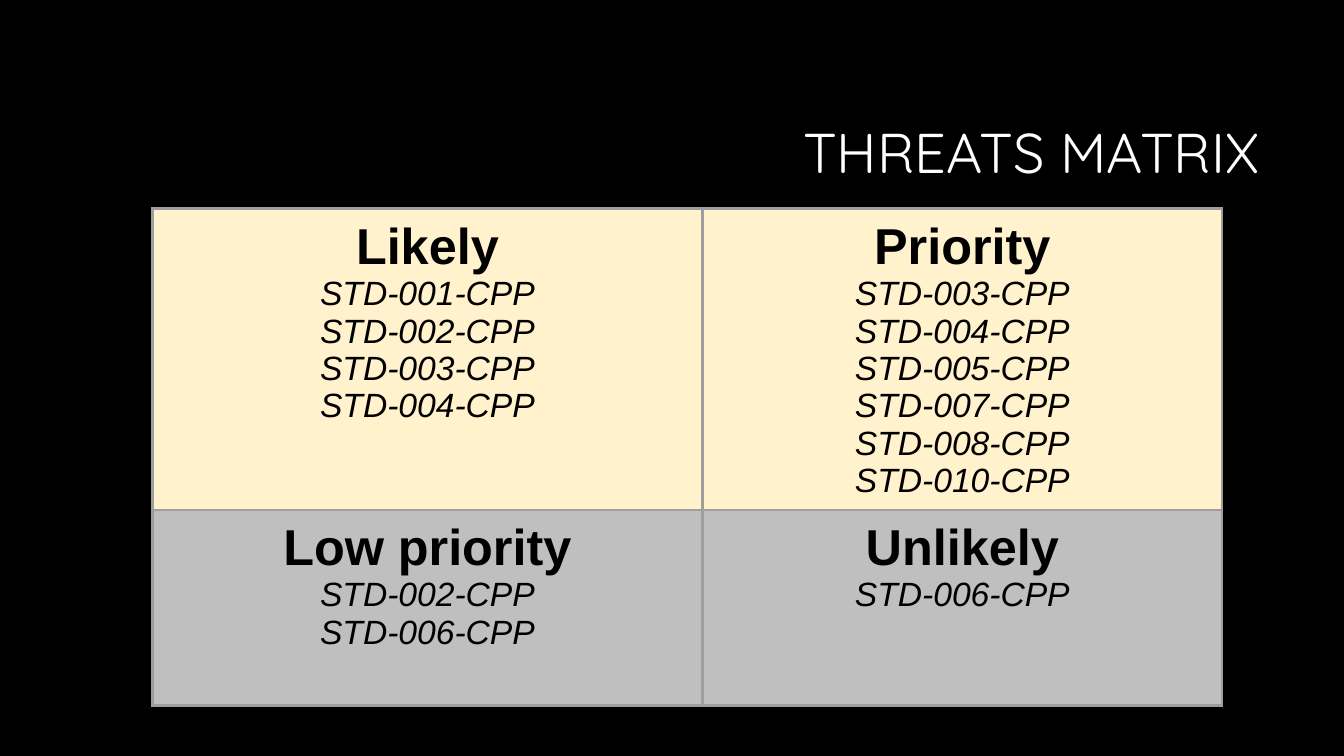
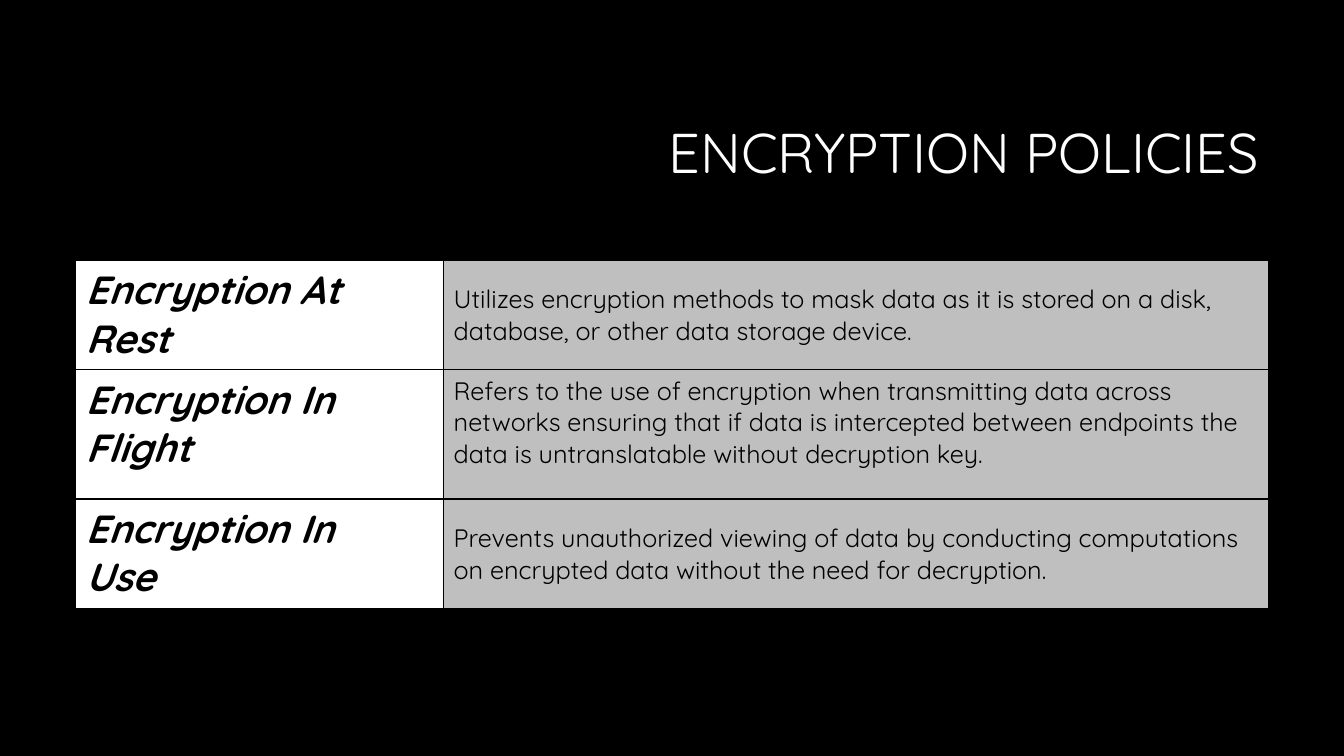
from lxml import etree
from pptx import Presentation
from pptx.dml.color import RGBColor
from pptx.enum.text import MSO_ANCHOR, PP_ALIGN
from pptx.oxml.ns import qn
from pptx.util import Inches, Pt

LEFT, CENTER, RIGHT = PP_ALIGN.LEFT, PP_ALIGN.CENTER, PP_ALIGN.RIGHT
TOP, MIDDLE = MSO_ANCHOR.TOP, MSO_ANCHOR.MIDDLE

BLACK, WHITE, GRAY = "000000", "FFFFFF", "BFBFBF"
CREAM, RULE_GRAY = "FFF2CC", "9E9E9E"
BODY_FONT, BRAND_FONT = "Arial", "Quicksand"
TITLE_ONLY = 5

THREATS = [
    (CREAM, [("Likely", [1, 2, 3, 4]), ("Priority", [3, 4, 5, 7, 8, 10])]),
    (GRAY, [("Low priority", [2, 6]), ("Unlikely", [6])]),
]

POLICIES = [
    (["Encryption At Rest"], MIDDLE,
     "Utilizes encryption methods to mask data as it is stored on a disk, "
     "database, or other data storage device."),
    (["Encryption In Flight"], TOP,
     "Refers to the use of encryption when transmitting data across networks "
     "ensuring that if data is intercepted between endpoints the data is "
     "untranslatable without decryption key."),
    (["Encryption In", "Use"], MIDDLE,
     "Prevents unauthorized viewing of data by conducting computations on "
     "encrypted data without the need for decryption."),
]


def paint(fill, color):
    fill.solid()
    fill.fore_color.rgb = RGBColor.from_string(color)


def write(frame, text, size, font=BRAND_FONT, color=BLACK, bold=False,
          italic=False, align=LEFT, line_spacing=None):
    paragraph = frame.paragraphs[0]
    if paragraph.runs:
        paragraph = frame.add_paragraph()
    paragraph.alignment = align
    paragraph.line_spacing = line_spacing
    run = paragraph.add_run()
    run.text = text
    run.font.name = font
    run.font.size = Pt(size)
    run.font.bold = bold
    run.font.italic = italic
    run.font.color.rgb = RGBColor.from_string(color)


def set_borders(cell, color, width):
    properties = cell._tc.get_or_add_tcPr()
    for index, side in enumerate(("lnL", "lnR", "lnT", "lnB")):
        line = etree.Element(qn(f"a:{side}"), w=str(Pt(width)))
        solid = etree.SubElement(line, qn("a:solidFill"))
        etree.SubElement(solid, qn("a:srgbClr"), val=color)
        properties.insert(index, line)


def style_cell(cell, fill, anchor=TOP, padding=None):
    paint(cell.fill, fill)
    cell.vertical_anchor = anchor
    if padding is not None:
        cell.margin_left = cell.margin_right = Inches(padding)
        cell.margin_top = cell.margin_bottom = Inches(padding)


def add_grid(slide, left, top, widths, heights, border_color, border_width):
    grid = slide.shapes.add_table(
        len(heights), len(widths), Inches(left), Inches(top),
        Inches(sum(widths)), Inches(sum(heights))).table
    grid.first_row = grid.horz_banding = False
    for column, width in zip(grid.columns, widths):
        column.width = Inches(width)
    for row, height in zip(grid.rows, heights):
        row.height = Inches(height)
    for cell in grid.iter_cells():
        set_borders(cell, border_color, border_width)
    return grid


def set_up_theme(prs):
    prs.slide_width, prs.slide_height = Inches(13.33), Inches(7.5)
    paint(prs.slide_master.background.fill, BLACK)
    title = prs.slide_layouts[TITLE_ONLY].placeholders[0]
    title.left, title.top = Inches(3.17), Inches(0.84)
    title.width, title.height = Inches(9.42), Inches(1.41)
    title.text_frame.vertical_anchor = MIDDLE


def add_titled_slide(prs, heading):
    slide = prs.slides.add_slide(prs.slide_layouts[TITLE_ONLY])
    write(slide.shapes.title.text_frame, heading, 40, color=WHITE,
          align=RIGHT, line_spacing=0.9)
    return slide


def add_threats_matrix(prs):
    slide = add_titled_slide(prs, "THREATS MATRIX")
    matrix = add_grid(slide, 1.51, 2.07, [5.46, 5.15], [2.99, 1.94],
                      RULE_GRAY, 2.25)
    for row, (fill, quadrants) in enumerate(THREATS):
        for column, (level, standards) in enumerate(quadrants):
            cell = matrix.cell(row, column)
            style_cell(cell, fill, padding=0.1)
            write(cell.text_frame, level, 36, BODY_FONT, bold=True,
                  align=CENTER)
            for number in standards:
                write(cell.text_frame, f"STD-{number:03}-CPP", 24, BODY_FONT,
                      italic=True, align=CENTER)


def add_encryption_policies(prs):
    slide = add_titled_slide(prs, "ENCRYPTION POLICIES")
    policies = add_grid(slide, 0.75, 2.58, [3.65, 8.18], [1.09, 1.28, 1.09],
                        BLACK, 1)
    for row, (name_lines, anchor, description) in enumerate(POLICIES):
        name_cell, description_cell = policies.rows[row].cells
        style_cell(name_cell, WHITE)
        for line in name_lines:
            write(name_cell.text_frame, line, 28, bold=True, italic=True)
        style_cell(description_cell, GRAY, anchor)
        write(description_cell.text_frame, description, 18)


def main():
    prs = Presentation()
    set_up_theme(prs)
    add_threats_matrix(prs)
    add_encryption_policies(prs)
    prs.save("out.pptx")


if __name__ == "__main__":
    main()
